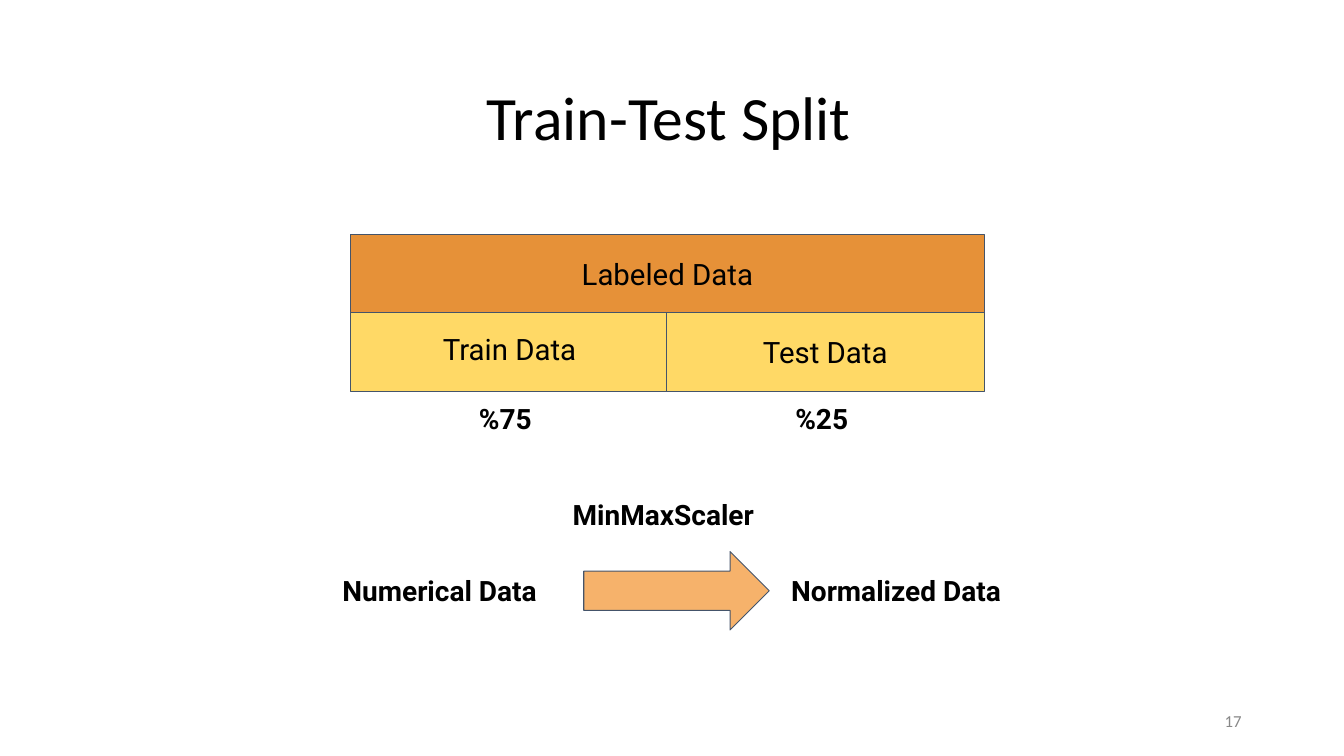
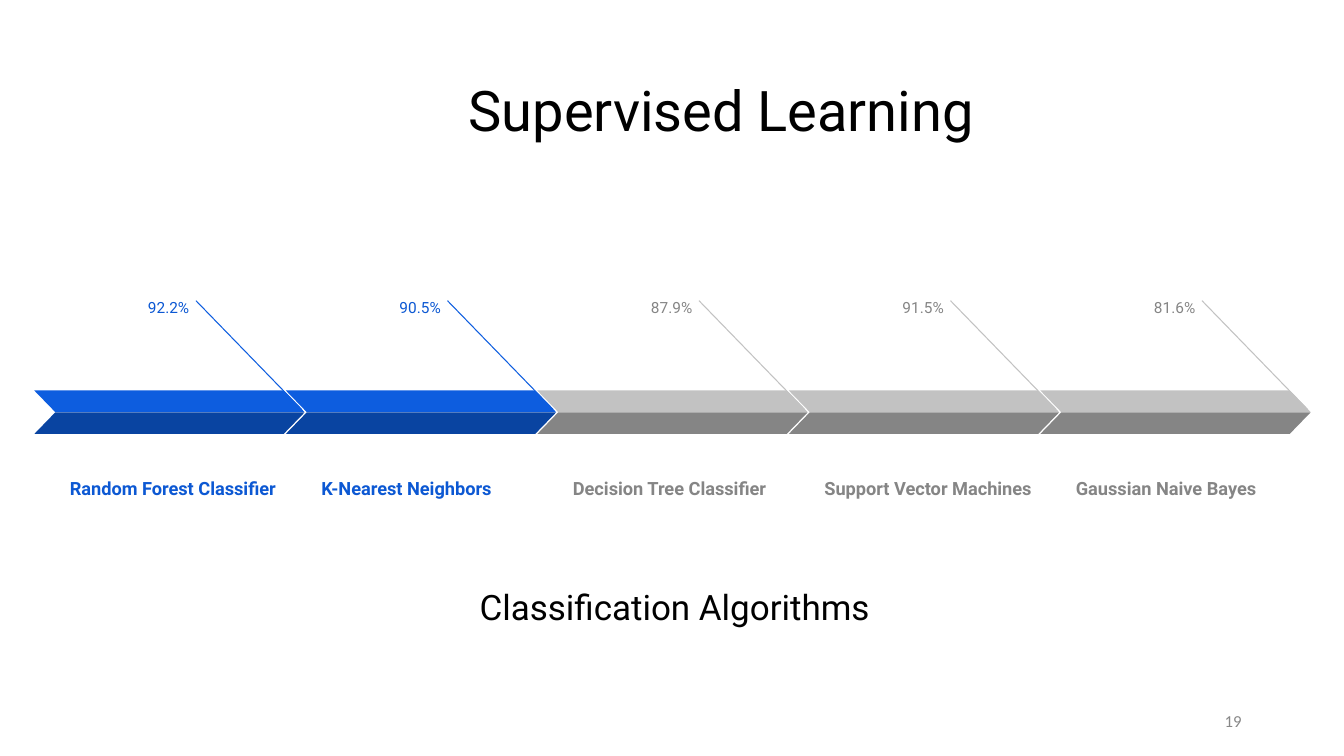
from pptx import Presentation
from pptx.dml.color import RGBColor
from pptx.enum import shapes, text
from pptx.oxml.ns import qn
from pptx.util import Pt
from lxml import etree

# Shared look
BLACK, OUTLINE, PAGE_GRAY = "000000", "44546A", "888888"
ORANGE, YELLOW, PEACH = "E69138", "FFD966", "F6B26B"
BLUE = {"text": "0C58D3", "upper": "0D5DDF", "lower": "0944A1"}
GRAY = {"text": "858585", "upper": "C2C2C2", "lower": "858585"}
LEFT, CENTER, RIGHT = (text.PP_ALIGN.LEFT, text.PP_ALIGN.CENTER,
                       text.PP_ALIGN.RIGHT)
TOP, MIDDLE, BOTTOM = (text.MSO_ANCHOR.TOP, text.MSO_ANCHOR.MIDDLE,
                       text.MSO_ANCHOR.BOTTOM)
TITLE_INSETS = (7.2, 3.6)

# Content: train-test split (text, box, fill), back to front
SPLIT_BLOCKS = [
    ("Train Data", (250.5, 218, 227, 61.5), YELLOW),
    ("Test Data", (476, 223, 227, 56.5), YELLOW),
    ("Labeled Data", (250.5, 167.5, 452.5, 56), ORANGE),
]
SPLIT_LABELS = [
    ("%75", (250.5, 279.5, 221, 39), CENTER),
    ("%25", (471.5, 279.5, 231, 39), CENTER),
    ("Numerical Data", (237.5, 402.5, 165, 39), LEFT),
    ("Normalized Data", (558, 402.5, 165, 39), LEFT),
    ("MinMaxScaler", (402, 348, 150, 39), LEFT),
]
SCALER_ARROW = (417, 394, 132.5, 56)

# Content: classifiers (name, accuracy, colours)
CLASSIFIERS = [
    ("Random Forest Classifier", "92.2%", BLUE),
    ("K-Nearest Neighbors", "90.5%", BLUE),
    ("Decision Tree Classifier", "87.9%", GRAY),
    ("Support Vector Machines", "91.5%", GRAY),
    ("Gaussian Naive Bayes", "81.6%", GRAY),
]
CHAIN_LEFT, STEP = 24.5, 179.65
BAND_WIDTH, BAND_HEIGHT = 193, 15.4
UPPER_TOP, LOWER_TOP = 278.9, 294.6


def color(value):
    return RGBColor.from_string(value)


def points(values):
    return [Pt(value) for value in values]


def write(shape, words, size=20, font="Roboto", hue=BLACK, bold=False,
          align=LEFT, anchor=TOP, insets=(7.2, 7.2), spacing=1.0):
    frame = shape.text_frame
    frame.word_wrap = True
    frame.auto_size = text.MSO_AUTO_SIZE.NONE
    frame.vertical_anchor = anchor
    frame.margin_left = frame.margin_right = Pt(insets[0])
    frame.margin_top = frame.margin_bottom = Pt(insets[1])
    paragraph = frame.paragraphs[0]
    paragraph.alignment, paragraph.line_spacing = align, spacing
    run = paragraph.add_run()
    run.text = words
    run.font.size, run.font.name, run.font.bold = Pt(size), font, bold
    run.font.color.rgb = color(hue)


def add_text(slide, words, box, **style):
    write(slide.shapes.add_textbox(*points(box)), words, **style)


def add_block(slide, kind, box, fill, outline=None):
    block = slide.shapes.add_shape(kind, *points(box))
    block.shadow.inherit = False
    block.fill.solid()
    block.fill.fore_color.rgb = color(fill)
    if outline:
        block.line.color.rgb = color(outline)
        block.line.width = Pt(0.75)
    else:
        block.line.fill.background()
    return block


def add_leader(slide, ends, hue):
    leader = slide.shapes.add_connector(shapes.MSO_CONNECTOR.STRAIGHT,
                                        *points(ends))
    leader.line.color.rgb = color(hue)
    leader.line.width = Pt(0.75)
    etree.SubElement(leader._element.spPr, qn("a:effectLst"))


def add_titled_slide(deck, title, box, page, **style):
    slide = deck.slides.add_slide(deck.slide_layouts[5])
    heading = slide.shapes.title
    heading.left, heading.top, heading.width, heading.height = points(box)
    write(heading, title, anchor=MIDDLE, insets=TITLE_INSETS, spacing=0.9,
          **style)
    add_text(slide, page, (678, 500.5, 216, 28.8), size=12, font="Calibri",
             hue=PAGE_GRAY, align=RIGHT, anchor=MIDDLE, insets=TITLE_INSETS)
    return slide


def build_split(deck):
    slide = add_titled_slide(deck, "Train-Test Split", (340.5, 34, 280, 104),
                             "17", size=44, font="Calibri")
    for words, box, fill in SPLIT_BLOCKS:
        block = add_block(slide, shapes.MSO_SHAPE.RECTANGLE, box, fill, OUTLINE)
        write(block, words, size=21, align=CENTER, anchor=MIDDLE)
    add_block(slide, shapes.MSO_SHAPE.RIGHT_ARROW, SCALER_ARROW, PEACH, OUTLINE)
    for words, box, align in SPLIT_LABELS:
        add_text(slide, words, box, bold=True, align=align)


def add_classifier(slide, left, name, accuracy, hues):
    label = dict(hue=hues["text"], insets=(9.4, 9.4), spacing=1.15)
    add_text(slide, accuracy, (left + 54.7, 201.6, 65.5, 25.2), size=11,
             align=RIGHT, **label)
    add_text(slide, name, (left + 16, 319, 175, 46.8), size=13, bold=True,
             anchor=BOTTOM, **label)
    add_leader(slide, (left + 115.5, 214.8, left + 190.8, 292.3), hues["upper"])
    # Two mirrored bands form one chevron
    for part, top in (("upper", UPPER_TOP), ("lower", LOWER_TOP)):
        band = add_block(slide, shapes.MSO_SHAPE.PARALLELOGRAM,
                         (left, top, BAND_WIDTH, BAND_HEIGHT), hues[part])
        band.adjustments[0] = 0.97
        if part == "upper":
            band._element.spPr.xfrm.set("flipH", "1")


def build_classifiers(deck):
    slide = add_titled_slide(deck, "Supervised Learning",
                             (327.5, 28.8, 566.5, 104), "19", size=40)
    for index, classifier in enumerate(CLASSIFIERS):
        add_classifier(slide, CHAIN_LEFT + index * STEP, *classifier)
    add_text(slide, "Classification Algorithms", (335.5, 383, 305, 104),
             size=25, anchor=MIDDLE, insets=TITLE_INSETS, spacing=0.9)


def main():
    deck = Presentation()
    deck.slide_width, deck.slide_height = Pt(960), Pt(540)
    build_split(deck)
    build_classifiers(deck)
    deck.save("out.pptx")


if __name__ == "__main__":
    main()
